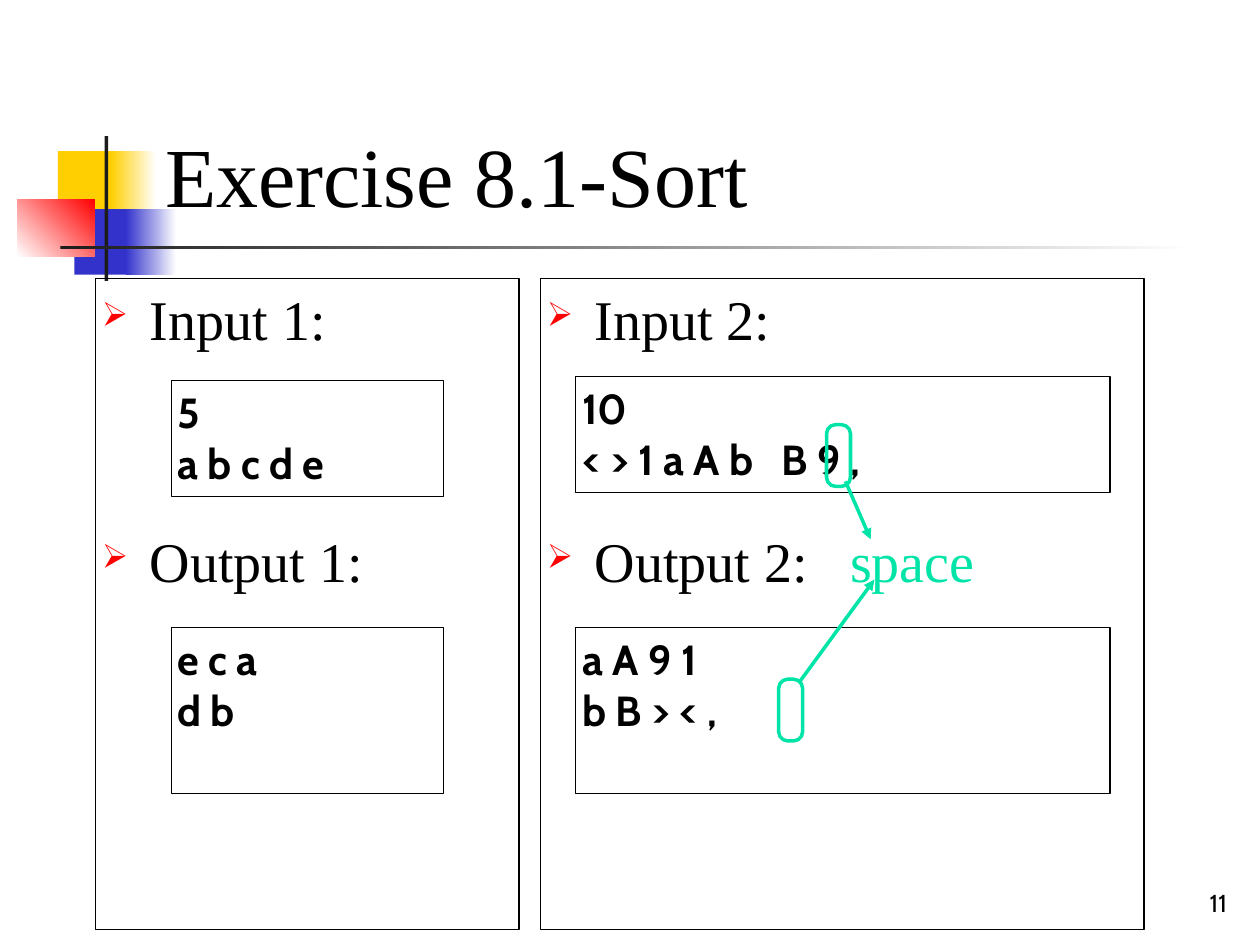
from lxml import etree
from pptx import Presentation
from pptx.dml.color import RGBColor
from pptx.enum import shapes, text
from pptx.oxml.ns import qn
from pptx.util import Inches, Pt

BLACK = RGBColor(0x00, 0x00, 0x00)
WHITE = RGBColor(0xFF, 0xFF, 0xFF)
CHARCOAL = RGBColor(0x1C, 0x1C, 0x1C)
YELLOW = RGBColor(0xFF, 0xCF, 0x01)
BLUE = RGBColor(0x33, 0x33, 0xCC)
RED = RGBColor(0xFF, 0x00, 0x00)
MINT = RGBColor(0x00, 0xE4, 0xA8)
SERIF, SANS = "Times New Roman", "Cabin"
RECT = shapes.MSO_SHAPE.RECTANGLE

# box, first colour, last colour (None when plain), gradient angle
ORNAMENTS = [
    ((0.46, 1.2, 0.48, 0.52), YELLOW, None, 0),
    ((0.88, 1.2, 0.36, 0.52), YELLOW, WHITE, 0),
    ((0.59, 1.66, 0.46, 0.52), BLUE, None, 0),
    ((1, 1.66, 0.4, 0.52), BLUE, WHITE, 0),
    ((0.14, 1.58, 0.61, 0.46), WHITE, RED, 45),
    ((0.83, 1.08, 0.03, 1.15), CHARCOAL, None, 0),
    ((0.48, 1.95, 9, 0.03), CHARCOAL, WHITE, 0),
]
PANEL_TOP, PANEL_HEIGHT = 2.21, 5.17
INPUT_HEIGHT, OUTPUT_TOP, OUTPUT_HEIGHT = 0.92, 4.98, 1.32
EXERCISES = [
    dict(number=1, left=0.76, width=3.36, sample_left=1.36, sample_width=2.16,
         input_top=3.02, given=["5", "a b c d e"], result=["e c a", "d b"], note=None),
    dict(number=2, left=4.29, width=4.79, sample_left=4.57, sample_width=4.24,
         input_top=2.99, given=["10", "< > 1 a A b   B 9 ,"],
         result=["a A 9 1", "b B > < ,"], note="space"),
]
# corner of the ring round a space, then the arrow from it to the note
SPACE_MARKS = [
    ((6.56, 3.37), (6.71, 3.82), (6.91, 4.28)),
    ((6.18, 5.39), (6.34, 5.42), (6.94, 4.6)),
]
RING_SIZE = (0.19, 0.49)

prs = Presentation()
prs.slide_width, prs.slide_height = Inches(10), Inches(7.5)
slide = prs.slides.add_slide(prs.slide_layouts[6])


def add_box(box, line=None, weight=0.75, kind=RECT):
    shape = slide.shapes.add_shape(kind, *map(Inches, box))
    shape.shadow.inherit = False
    shape.fill.background()
    if line is None:
        shape.line.fill.background()
    else:
        shape.line.color.rgb = line
        shape.line.width = Pt(weight)
    return shape


def prepare_frame(shape, anchor=text.MSO_ANCHOR.TOP, wrap=True):
    frame = shape.text_frame
    frame.margin_left = frame.margin_right = Inches(0.05)
    frame.margin_top = frame.margin_bottom = Inches(0.05)
    frame.vertical_anchor = anchor
    frame.word_wrap = wrap
    return frame


def add_run(paragraph, words, size, font, color=BLACK, bold=False):
    run = paragraph.add_run()
    run.text = words
    run.font.size, run.font.name, run.font.bold = Pt(size), font, bold
    run.font.color.rgb = color
    return run


def next_paragraph(frame, index, align=text.PP_ALIGN.LEFT):
    paragraph = frame.add_paragraph() if index else frame.paragraphs[0]
    paragraph.alignment = align
    return paragraph


def add_arrow_bullet(paragraph):
    props = paragraph._p.get_or_add_pPr()
    props.set("marL", str(Inches(0.38)))
    props.set("indent", str(-Inches(0.38)))
    color = etree.SubElement(props, qn("a:buClr"))
    etree.SubElement(color, qn("a:srgbClr"), val=str(RED))
    etree.SubElement(props, qn("a:buSzPct"), val="60000")
    etree.SubElement(props, qn("a:buChar"), char="➢")


def add_panel(exercise):
    box = (exercise["left"], PANEL_TOP, exercise["width"], PANEL_HEIGHT)
    frame = prepare_frame(add_box(box, BLACK))
    for index, (label, space_before) in enumerate([("Input", 7), ("Output", 100)]):
        paragraph = next_paragraph(frame, index)
        paragraph.space_before = Pt(space_before)
        add_arrow_bullet(paragraph)
        add_run(paragraph, f"{label} {exercise['number']}:", 32, SERIF)
    if exercise["note"]:
        gap = add_run(paragraph, " ", 32, SERIF)
        gap.font._element.set("spc", "1600")
        add_run(paragraph, exercise["note"], 32, SERIF, MINT)


def add_sample(exercise, lines, top, height):
    box = (exercise["sample_left"], top, exercise["sample_width"], height)
    frame = prepare_frame(add_box(box, BLACK))
    for index, line in enumerate(lines):
        add_run(next_paragraph(frame, index), line, 24, SANS, bold=True)


def add_arrow(start, end):
    arrow = slide.shapes.add_connector(
        shapes.MSO_CONNECTOR.STRAIGHT, *map(Inches, start + end))
    arrow.line.color.rgb = MINT
    arrow.line.width = Pt(2)
    etree.SubElement(arrow.line._get_or_add_ln(), qn("a:tailEnd"), type="triangle")
    etree.SubElement(arrow._element.spPr, qn("a:effectLst"))


for box, first, last, angle in ORNAMENTS:
    fill = add_box(box).fill
    if last is None:
        fill.solid()
        fill.fore_color.rgb = first
    else:
        fill.gradient()
        fill.gradient_angle = angle
        for stop, color in zip(fill.gradient_stops, (first, last)):
            stop.color.rgb = color

title = slide.shapes.add_textbox(*map(Inches, (1.26, 0.23, 8.52, 1.6)))
title_frame = prepare_frame(title, text.MSO_ANCHOR.BOTTOM)
add_run(next_paragraph(title_frame, 0), "Exercise 8.1-Sort", 48, SERIF)

page_number = slide.shapes.add_textbox(*map(Inches, (9.46, 6.99, 0.33, 0.34)))
number_frame = prepare_frame(page_number, text.MSO_ANCHOR.BOTTOM, wrap=False)
add_run(next_paragraph(number_frame, 0, text.PP_ALIGN.RIGHT), "11", 14, SANS)

for exercise in EXERCISES:
    add_panel(exercise)
    add_sample(exercise, exercise["given"], exercise["input_top"], INPUT_HEIGHT)
    add_sample(exercise, exercise["result"], OUTPUT_TOP, OUTPUT_HEIGHT)

for corner, start, end in SPACE_MARKS:
    ring = add_box(corner + RING_SIZE, MINT, 2, shapes.MSO_SHAPE.ROUNDED_RECTANGLE)
    ring.adjustments[0] = 0.38
    add_arrow(start, end)

prs.save("out.pptx")
